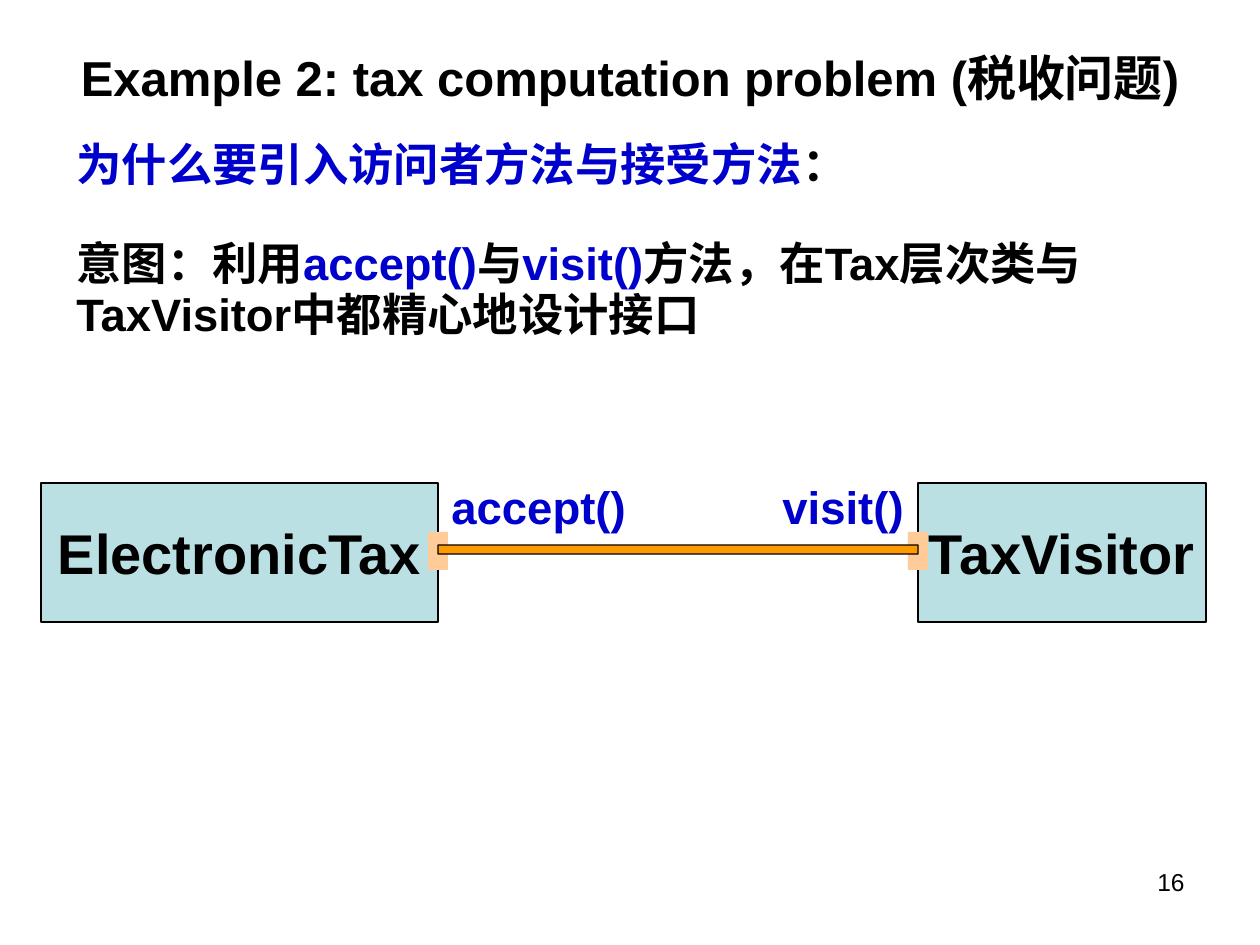
from dataclasses import dataclass

from pptx import Presentation
from pptx.dml.color import RGBColor
from pptx.enum.shapes import MSO_SHAPE as Shape
from pptx.enum.text import MSO_ANCHOR as Anchor, MSO_AUTO_SIZE as AutoSize, PP_ALIGN as Align
from pptx.oxml.ns import qn
from pptx.util import Pt

EMU_PER_PX = 914400 / 126
SLIDE_W, SLIDE_H = 1260, 945


@dataclass(frozen=True)
class Theme:
    font: str = "Arial"
    cjk_font: str = "Noto Sans CJK SC"
    ink: str = "000000"
    accent: str = "0000CC"
    class_fill: str = "BBE0E3"
    port_fill: str = "FFCC99"
    link_fill: str = "FF9900"
    title_size: float = 28
    body_size: float = 25.9
    class_size: float = 32
    method_size: float = 26
    number_size: float = 14
    outline: float = 0.75


THEME = Theme()


def px(*lengths):
    return [round(length * EMU_PER_PX) for length in lengths]


def write(frame, paragraphs, *, size, color=THEME.ink, bold=True, align=Align.LEFT,
          anchor=Anchor.TOP, wrap=True, line_spacing=None, gaps=None):
    """Fill a frame; each paragraph is a list of (text, color or None) runs."""
    frame.auto_size = AutoSize.NONE
    frame.word_wrap = wrap
    frame.vertical_anchor = anchor
    for index, runs in enumerate(paragraphs):
        paragraph = frame.paragraphs[0] if index == 0 else frame.add_paragraph()
        paragraph.alignment = align
        if line_spacing:
            paragraph.line_spacing = line_spacing
        if gaps:
            paragraph.space_before = Pt(gaps[index])
        for text, run_color in runs:
            run = paragraph.add_run()
            run.text = text
            run.font.name = THEME.font
            run.font.size = Pt(size)
            run.font.bold = bold
            run.font.color.rgb = RGBColor.from_string(run_color or color)
            east_asian = run.font._element.makeelement(qn("a:ea"), {"typeface": THEME.cjk_font})
            run.font._element.find(qn("a:latin")).addnext(east_asian)


def add_label(slide, box, paragraphs, **text_format):
    write(slide.shapes.add_textbox(*px(*box)).text_frame, paragraphs, **text_format)


def add_block(slide, kind, box, fill, outlined=True):
    block = slide.shapes.add_shape(kind, *px(*box))
    block.shadow.inherit = False
    block.fill.solid()
    block.fill.fore_color.rgb = RGBColor.from_string(fill)
    if outlined:
        block.line.color.rgb = RGBColor.from_string(THEME.ink)
        block.line.width = Pt(THEME.outline)
    else:
        block.line.fill.background()
    return block


def add_title(slide, box):
    title = slide.shapes.title
    title.left, title.top, title.width, title.height = px(*box)
    write(title.text_frame, [[("Example 2: tax computation problem (税收问题)", None)]],
          size=THEME.title_size, align=Align.CENTER, anchor=Anchor.MIDDLE)


def add_intent(slide, box):
    accent = THEME.accent
    add_label(slide, box, [
        [("为什么要引入访问者方法与接受方法", accent), ("：", None)],
        [("意图：利用", None), ("accept()", accent), ("与", None),
         ("visit()", accent), ("方法，在Tax层次类与", None)],
        [("TaxVisitor中都精心地设计接口", None)],
    ], size=THEME.body_size, line_spacing=0.7, gaps=(7, 35, 7))


def add_class(slide, box, name, port_x):
    """Draw a class box with its port centred on the side at port_x."""
    left, top, width, height = box
    port_w, port_h = 20, 38
    block = add_block(slide, Shape.RECTANGLE, box, THEME.class_fill)
    write(block.text_frame, [[(name, None)]], size=THEME.class_size,
          align=Align.CENTER, anchor=Anchor.MIDDLE, wrap=False)
    port = (left + port_x - port_w // 2, top + 49, port_w, port_h)
    add_block(slide, Shape.RECTANGLE, port, THEME.port_fill, outlined=False)


def add_link(slide, box):
    """Lay an upright can on its side so that it fills the flat box."""
    left, top, length, thickness = box
    upright = (left + (length - thickness) / 2, top + (thickness - length) / 2,
               thickness, length)
    link = add_block(slide, Shape.CAN, upright, THEME.link_fill)
    link.adjustments[0] = 0.01
    link.rotation = 90


def add_interface_diagram(slide, box):
    left, top, width, height = box
    tax_w, visitor_w = 397, 288
    link_left, visitor_left = left + tax_w, left + width - visitor_w
    add_class(slide, (left, top, tax_w, height), "ElectronicTax", tax_w)
    add_class(slide, (visitor_left, top, visitor_w, height), "TaxVisitor", 0)
    for method, label_left, label_w in (("accept()", link_left + 1, 199),
                                        ("visit()", visitor_left - 148, 146)):
        add_label(slide, (label_left, top - 10, label_w, 68), [[(method, None)]],
                  size=THEME.method_size, color=THEME.accent, wrap=False)
    add_link(slide, (link_left, top + 62, visitor_left - link_left, 9))


def add_slide_number(slide, box):
    add_label(slide, box, [[("16", None)]], size=THEME.number_size, bold=False,
              align=Align.RIGHT)


def main():
    deck = Presentation()
    deck.slide_width, deck.slide_height = px(SLIDE_W, SLIDE_H)
    slide = deck.slides.add_slide(deck.slide_layouts[5])
    add_title(slide, (63, 38, 1134, 77))
    add_intent(slide, (64, 145, 1132, 228))
    add_interface_diagram(slide, (41, 483, 1165, 139))
    add_slide_number(slide, (903, 861, 294, 66))
    deck.save("out.pptx")


if __name__ == "__main__":
    main()
